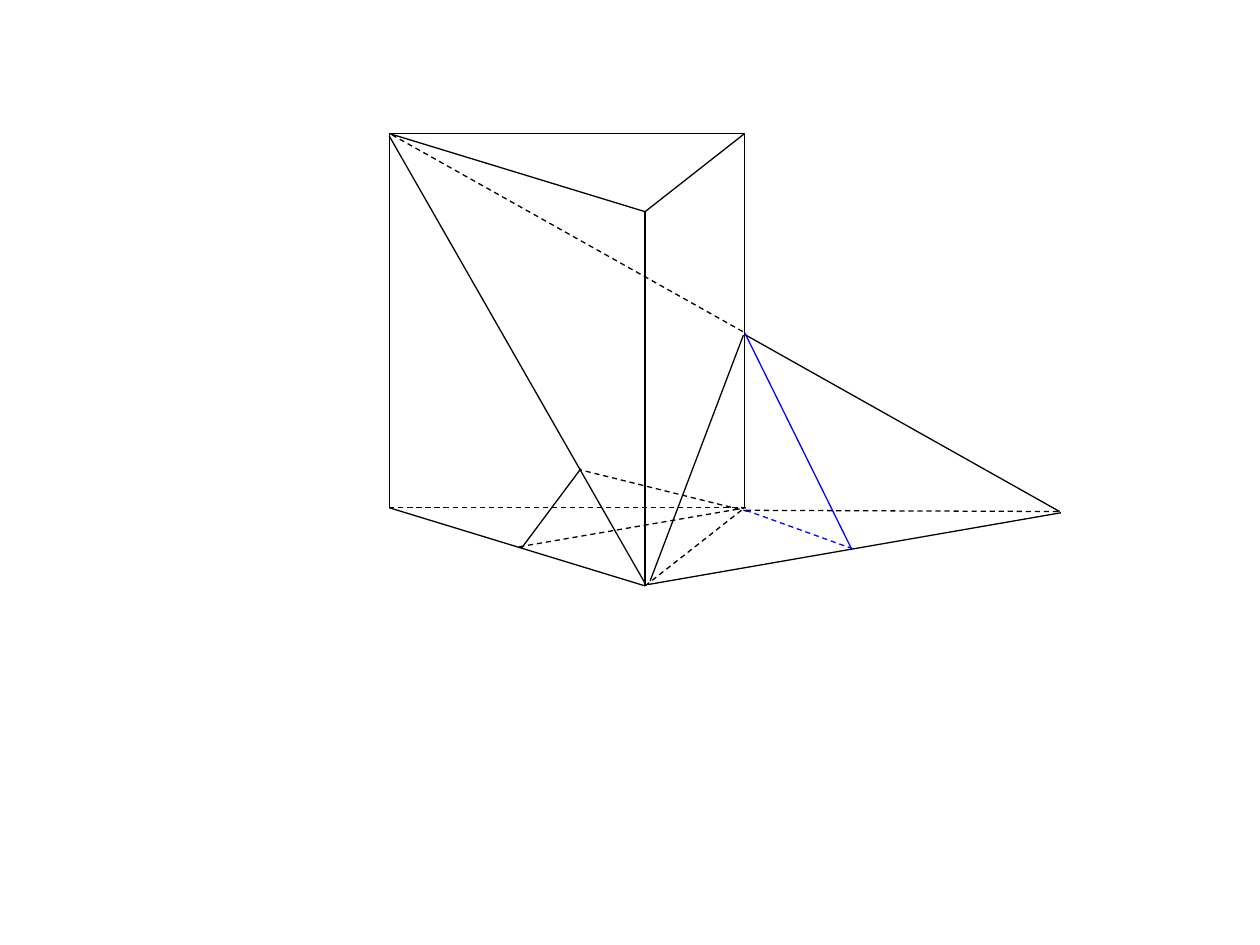
"""Draw a triangular prism cut by a plane that extends to its base."""
import pptx
import pptx.dml.color
import pptx.enum.dml
import pptx.enum.shapes
import pptx.oxml.ns
import pptx.util
from lxml import etree

Inches = pptx.util.Inches
BLACK, BLUE = "000000", "0000FF"


def rgb(value):
    """Turn a hex string into a colour."""
    return pptx.dml.color.RGBColor.from_string(value)


class Drawing:
    """Hold the line style and the current slide."""

    def __init__(self, slide, width=0.75):
        """Keep the slide and the line width in points."""
        self.slide = slide
        self.width = pptx.util.Pt(width)

    def group(self):
        """Start a group and return its shapes."""
        return self.slide.shapes.add_group_shape().shapes

    def segment(self, shapes, start, end, hidden=False, color=BLACK):
        """Draw one edge, dashed when it is hidden."""
        edge = shapes.add_connector(
            pptx.enum.shapes.MSO_CONNECTOR.STRAIGHT,
            *(Inches(value) for value in start + end))
        edge.line.color.rgb = rgb(color)
        edge.line.width = self.width
        if hidden:
            edge.line.dash_style = pptx.enum.dml.MSO_LINE.DASH
        properties = edge._element.spPr
        etree.SubElement(properties, pptx.oxml.ns.qn("a:effectLst"))


def main():
    """Build the slide and save it."""
    deck = pptx.Presentation()
    deck.slide_width, deck.slide_height = Inches(10), Inches(7.5)
    slide = deck.slides.add_slide(deck.slide_layouts[6])
    drawing = Drawing(slide)

    top_left, top_right, top_front = (3.09, 1.06), (5.91, 1.06), (5.12, 1.68)
    base_left, base_right, base_front = [
        (x, round(y + 2.97, 2)) for x, y in (top_left, top_right, top_front)]
    trace_start = (5.92, 4.05)

    prism_edges = [
        (top_left, top_right),
        (top_left, base_left),
        (top_left, top_front),
        (top_front, top_right),
        (top_front, base_front),
        (top_right, base_right),
        (base_left, base_right, True),
        (base_left, base_front),
        (base_front, base_right, True),
        ((3.11, 1.07), (5.91, 2.64), True),
        ((5.16, 4.61), (5.9, 2.66)),
        ((4.12, 4.34), (5.92, 4.03), True),
    ]
    extension_edges = [
        ((5.12, 4.63), (3.09, 1.08)),
        ((4.14, 4.35), (4.61, 3.72)),
        ((5.94, 4.06), (4.61, 3.73), True),
        (trace_start, (8.42, 4.06), True),
        ((5.14, 4.64), (8.42, 4.07)),
        ((5.92, 2.66), (8.41, 4.06)),
        (trace_start, (6.78, 4.36), True, BLUE),
        ((5.91, 2.64), (6.76, 4.36), False, BLUE),
    ]
    for shapes, edges in ((drawing.group(), prism_edges),
                          (slide.shapes, extension_edges)):
        for edge in edges:
            drawing.segment(shapes, *edge)

    deck.save("out.pptx")


if __name__ == "__main__":
    main()
